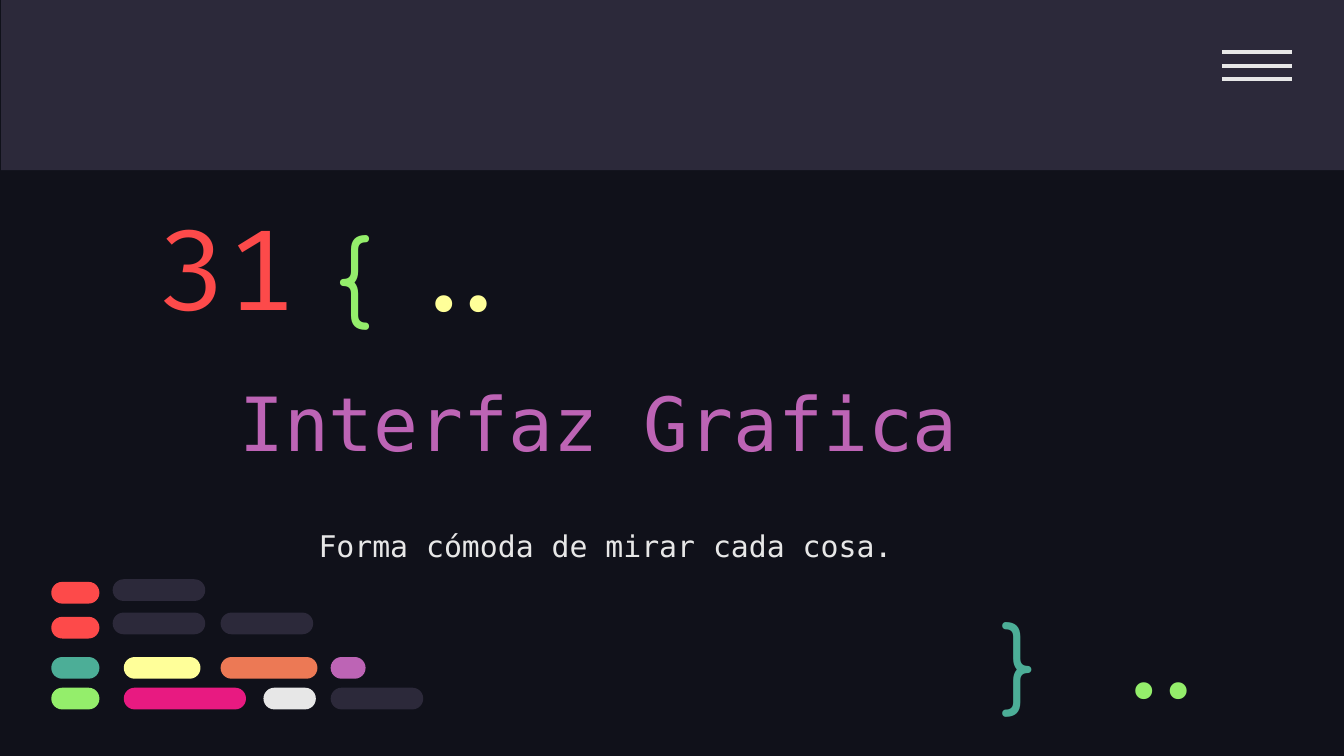
from lxml.etree import SubElement
from pptx import Presentation
from pptx.dml.color import RGBColor
from pptx.enum.shapes import MSO_CONNECTOR, MSO_SHAPE
from pptx.enum.text import MSO_ANCHOR, MSO_AUTO_SIZE, PP_ALIGN
from pptx.oxml.ns import qn
from pptx.util import Cm, Pt

NIGHT = RGBColor(0x10, 0x11, 0x1A)
SLATE = RGBColor(0x2C, 0x29, 0x3A)
WHITE = RGBColor(0xE7, 0xE7, 0xE7)
RED = RGBColor(0xFD, 0x4A, 0x4A)
GREEN = RGBColor(0x94, 0xEE, 0x6B)
TEAL = RGBColor(0x4C, 0xAE, 0x97)
YELLOW = RGBColor(0xFF, 0xFF, 0x99)
ORANGE = RGBColor(0xEC, 0x79, 0x55)
PURPLE = RGBColor(0xBD, 0x64, 0xB5)
PINK = RGBColor(0xE8, 0x1A, 0x81)

MONO = "DejaVu Sans Mono"
CODE = "Fira Code"
ROUND = "Comfortaa"

PILL_HEIGHT = 0.41
# Top of each row, then left, width and colour of its pills
PILL_ROWS = [
    (11.0, [(0.97, 0.91, RED)]),
    (11.66, [(0.97, 0.91, RED)]),
    (12.42, [(0.97, 0.91, TEAL), (2.34, 1.45, YELLOW),
             (4.17, 1.83, ORANGE), (6.25, 0.66, PURPLE)]),
    (13.0, [(0.97, 0.91, GREEN), (2.34, 2.31, PINK),
            (4.98, 0.99, WHITE), (6.25, 1.75, SLATE)]),
    (10.95, [(2.13, 1.75, SLATE)]),
    (11.58, [(2.13, 1.75, SLATE), (4.17, 1.75, SLATE)]),
]


def add_block(page, kind, left, top, width, height, color):
    block = page.shapes.add_shape(kind, Cm(left), Cm(top), Cm(width), Cm(height))
    block.shadow.inherit = False
    block.fill.solid()
    block.fill.fore_color.rgb = color
    block.line.fill.background()
    return block


def add_line(page, left, right, y, color, weight):
    line = page.shapes.add_connector(
        MSO_CONNECTOR.STRAIGHT, Cm(left), Cm(y), Cm(right), Cm(y))
    line.line.color.rgb = color
    line.line.width = Pt(weight)
    SubElement(line._element.spPr, qn("a:effectLst"))


def add_menu_icon(page):
    for row in range(3):
        add_line(page, 23.09, 24.41, 0.99 + 0.25 * row, WHITE, 2.25)


def add_pills(page):
    for top, pills in PILL_ROWS:
        for left, width, color in pills:
            pill = add_block(page, MSO_SHAPE.ROUNDED_RECTANGLE,
                             left, top, width, PILL_HEIGHT, color)
            pill.adjustments[0] = 0.5


def write_text(box, text, *, size, font, color, anchor=MSO_ANCHOR.MIDDLE,
               align=PP_ALIGN.LEFT, spacing=1.0):
    frame = box.text_frame
    frame.word_wrap = True
    frame.auto_size = MSO_AUTO_SIZE.NONE
    frame.vertical_anchor = anchor
    frame.margin_left = frame.margin_right = Cm(0.25)
    frame.margin_top = frame.margin_bottom = Cm(0.25)
    para = frame.paragraphs[0]
    para.alignment = align
    para.line_spacing = spacing
    para.space_before = Pt(0)
    span = para.add_run()
    span.text = text
    span.font.size = Pt(size)
    span.font.name = font
    span.font.color.rgb = color


def fill_placeholder(box, text, left, top, width, height, **style):
    box.left, box.top = Cm(left), Cm(top)
    box.width, box.height = Cm(width), Cm(height)
    write_text(box, text, **style)


def add_text(page, text, left, top, width, height, **style):
    box = page.shapes.add_textbox(Cm(left), Cm(top), Cm(width), Cm(height))
    write_text(box, text, **style)


def main():
    deck = Presentation()
    deck.slide_width, deck.slide_height = Cm(25.4), Cm(14.29)
    page = deck.slides.add_slide(deck.slide_layouts[0])
    page.background.fill.solid()
    page.background.fill.fore_color.rgb = NIGHT

    add_block(page, MSO_SHAPE.RECTANGLE, 0.02, 0, 25.38, 3.22, SLATE)
    add_menu_icon(page)

    fill_placeholder(page.shapes.title, "Interfaz Grafica", 4.27, 6.3, 18.44, 3.33,
                     size=40, font=MONO, color=PURPLE)
    fill_placeholder(page.placeholders[1], "Forma cómoda de mirar cada cosa.",
                     5.77, 9.63, 16.79, 0.79, size=16, font=MONO, color=WHITE,
                     anchor=MSO_ANCHOR.TOP, spacing=1.15)
    add_text(page, "31", 2.74, 3.76, 4.6, 2.54, size=60, font=CODE, color=RED)

    brace = {"size": 50, "font": ROUND, "anchor": MSO_ANCHOR.TOP}
    add_text(page, "{", 6.1, 3.81, 1.96, 2.41, color=GREEN, **brace)
    add_text(page, "}", 18.67, 11.13, 1.45, 2.11, color=TEAL, **brace)

    dots = {"size": 50, "font": CODE, "align": PP_ALIGN.RIGHT}
    add_text(page, "..", 20.57, 11.73, 2.72, 1.52, color=GREEN, **dots)
    add_text(page, "..", 7.34, 4.42, 2.72, 1.52, color=YELLOW, **dots)

    add_pills(page)
    deck.save("out.pptx")


if __name__ == "__main__":
    main()
